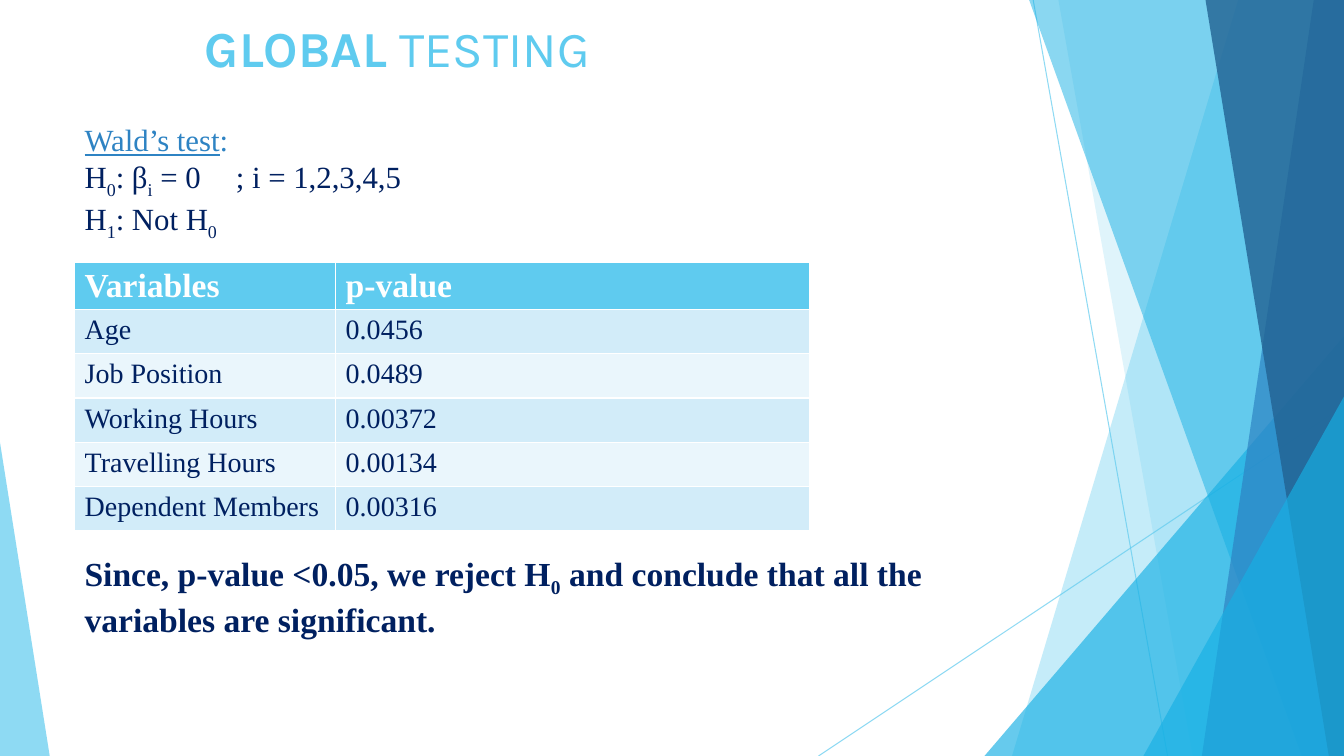
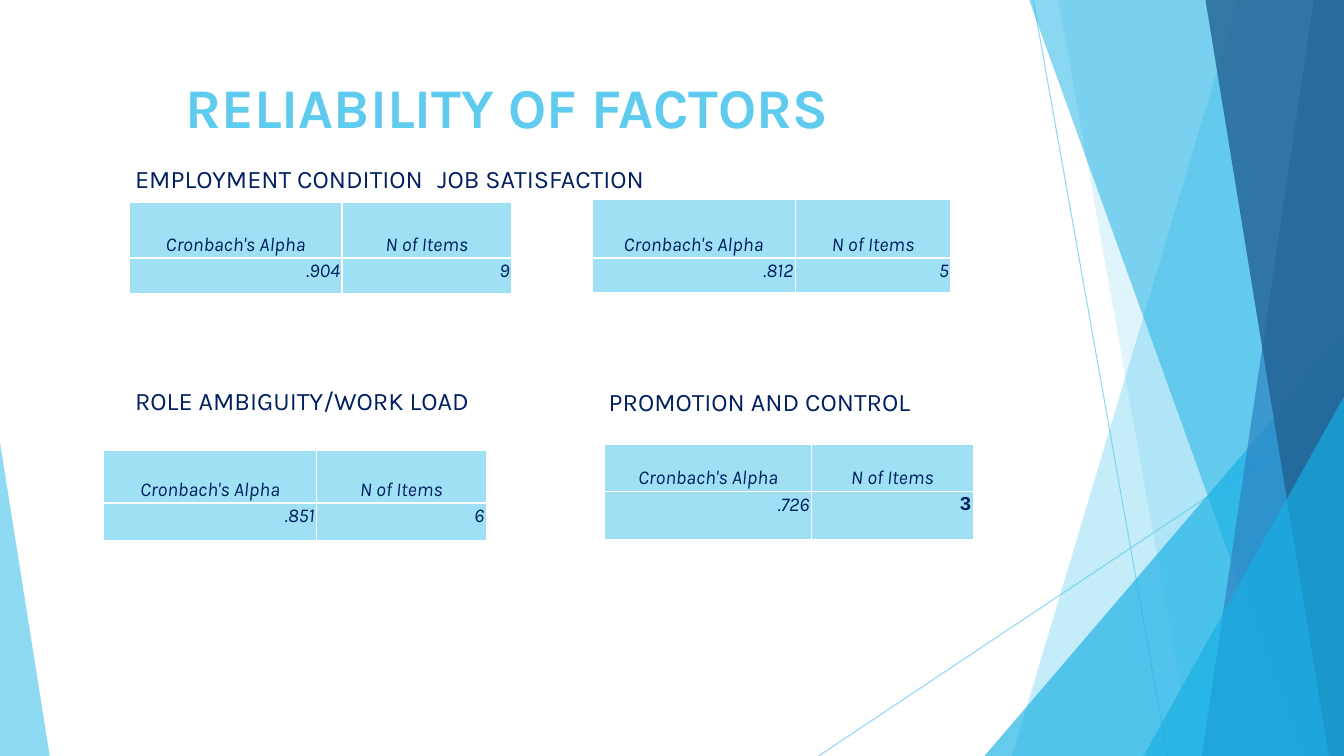
from dataclasses import dataclass

from lxml.etree import SubElement
from pptx import Presentation
from pptx.dml.color import RGBColor
from pptx.enum.shapes import MSO_CONNECTOR, MSO_SHAPE
from pptx.enum.text import MSO_ANCHOR, MSO_AUTO_SIZE, PP_ALIGN
from pptx.oxml.ns import qn
from pptx.util import Emu, Inches, Pt

COLS, ROWS = 40, 22.5  # square grid, three columns to the inch


@dataclass(frozen=True)
class Theme:
    sky: str = "5FCBEF"
    cyan: str = "17B0E4"
    blue: str = "2E83C3"
    deep: str = "226292"
    navy: str = "002060"
    white: str = "FFFFFF"
    stripe_dark: str = "D2ECF9"
    stripe_light: str = "EAF6FC"
    pale: str = "9FE0F5"
    sans: str = "Karla"
    serif: str = "Times New Roman"
    mono: str = "Courier New"
    title: int = 40
    title_small: int = 36
    large: int = 24
    hypothesis: int = 22
    table: int = 20
    heading: int = 18
    small: int = 14


T = Theme()


@dataclass(frozen=True)
class Box:
    """Left, top, width and height in grid columns and rows."""
    left: float
    top: float
    width: float
    height: float


@dataclass(frozen=True)
class Ray:
    x1: float
    y1: float
    x2: float
    y2: float


@dataclass(frozen=True)
class Band:
    """Full-height area between a slanted edge and the right of the slide."""
    top_x: float
    foot_x: float
    color: str
    opacity: int


@dataclass(frozen=True)
class Wedge:
    """Right-angled triangle standing on the bottom of the slide."""
    left: float
    top: float
    width: float
    tip: int
    color: str
    opacity: int


@dataclass(frozen=True)
class Factor:
    left: float
    top: float
    cols: tuple[float, float]
    rows: tuple[float, float]
    alpha: str
    items: str
    items_format: dict


BACKDROP = (
    Ray(30.75, 0, 34.75, ROWS),
    Ray(COLS, 12.08, 24.36, ROWS),
    Band(36.85, 30.12, T.sky, 36),
    Band(31.5, 35.5, T.sky, 20),
    Wedge(29.3, 10, 10.7, 1, T.cyan, 66),
    Band(30.63, 38.74, T.cyan, 50),
    Band(39.1, 35.77, T.blue, 70),
    Band(35.88, 39.55, T.deep, 80),
    Wedge(34.03, 11.8, 5.97, 1, T.cyan, 66),
    Wedge(0, 13.17, 1.48, 0, T.sky, 70),
)

P_VALUES = (
    ("Variables", "p-value"),
    ("Age", "0.0456"),
    ("Job Position", "0.0489"),
    ("Working Hours", "0.00372"),
    ("Travelling Hours", "0.00134"),
    ("Dependent Members", "0.00316"),
)

ITALIC = {"italic": True}
FACTORS = (
    Factor(3.85, 6.03, (6.33, 5.05), (1.65, 1.05), ".904", "9", ITALIC),
    Factor(18, 13.23, (6.15, 4.82), (1.4, 1.43), ".726", "3",
           {"font": T.mono, "bold": True}),
    Factor(17.62, 5.94, (6.05, 4.63), (1.74, 1.04), ".812", "5", ITALIC),
    Factor(3.09, 13.39, (6.33, 5.05), (1.58, 1.12), ".851", "6", ITALIC),
)


def grid(n: float) -> Emu:
    return Emu(round(n * Inches(1) / 3))


def place(sp, box: Box) -> None:
    sp.left, sp.top = grid(box.left), grid(box.top)
    sp.width, sp.height = grid(box.width), grid(box.height)


def set_opacity(sp, percent: int) -> None:
    color = sp._element.spPr.find(".//" + qn("a:srgbClr"))
    SubElement(color, qn("a:alpha")).set("val", str(percent * 1000))


def draw_ray(slide, ray: Ray):
    line = slide.shapes.add_connector(
        MSO_CONNECTOR.STRAIGHT,
        grid(ray.x1), grid(ray.y1), grid(ray.x2), grid(ray.y2))
    line.line.color.rgb = RGBColor.from_string(T.sky)
    line.line.width = Pt(0.75)
    SubElement(line._element.spPr, qn("a:effectLst"))
    set_opacity(line, 70)
    return line


def draw_area(slide, area: Band | Wedge):
    if isinstance(area, Band):
        builder = slide.shapes.build_freeform(grid(area.top_x), 0)
        corners = ((COLS, 0), (COLS, ROWS), (area.foot_x, ROWS))
        builder.add_line_segments([(grid(x), grid(y)) for x, y in corners])
        sp = builder.convert_to_shape()
    else:
        sp = slide.shapes.add_shape(
            MSO_SHAPE.ISOSCELES_TRIANGLE, grid(area.left), grid(area.top),
            grid(area.width), grid(ROWS - area.top))
        sp.adjustments[0] = area.tip
    sp.shadow.inherit = False
    sp.line.fill.background()
    sp.fill.solid()
    sp.fill.fore_color.rgb = RGBColor.from_string(area.color)
    set_opacity(sp, area.opacity)
    return sp


def add_backdrop(layout, slide) -> None:
    """Draw the backdrop on a slide, then move it into the shared layout."""
    for number, part in enumerate(BACKDROP, start=100):
        draw = draw_ray if isinstance(part, Ray) else draw_area
        element = draw(slide, part)._element
        element.xpath(".//p:cNvPr")[0].set("id", str(number))
        layout.shapes.element.append(element)


def add_text(p, text: str, *, size: int, color: str = T.navy,
             font: str = T.sans, bold: bool = False, italic: bool = False,
             underline: bool = False) -> None:
    """Add runs to a paragraph; a character after "_" is a subscript."""
    first, *rest = text.split("_")
    pieces = [(first, False)]
    for piece in rest:
        pieces += [(piece[0], True), (piece[1:], False)]
    for piece, subscript in pieces:
        if not piece:
            continue
        r = p.add_run()
        r.text = piece
        r.font.size, r.font.name = Pt(size), font
        r.font.bold, r.font.italic, r.font.underline = bold, italic, underline
        r.font.color.rgb = RGBColor.from_string(color)
        if subscript:
            r._r.get_or_add_rPr().set("baseline", "-25000")


def set_frame(sp, box: Box, inset: float = 0.3):
    place(sp, box)
    tf = sp.text_frame
    tf.word_wrap = True
    tf.auto_size = MSO_AUTO_SIZE.NONE
    tf.vertical_anchor = MSO_ANCHOR.TOP
    tf.margin_left = grid(inset)
    return tf


def plain_paragraph(tf, *, first: bool = False, before: float = 0,
                    tab: float | None = None):
    """Return a left-aligned paragraph without bullet or indent."""
    p = tf.paragraphs[0] if first else tf.add_paragraph()
    pPr = p._p.get_or_add_pPr()
    pPr.set("marL", "0")
    pPr.set("indent", "0")
    SubElement(pPr, qn("a:buNone"))
    if tab is not None:
        stop = SubElement(SubElement(pPr, qn("a:tabLst")), qn("a:tab"))
        stop.set("pos", str(grid(tab)))
        stop.set("algn", "l")
    p.alignment = PP_ALIGN.LEFT
    p.space_before = Pt(before)
    return p


def add_title(slide, box: Box, size: int, bold: str, light: str = "") -> None:
    tf = set_frame(slide.shapes.title, box, inset=3.3)
    p = plain_paragraph(tf, first=True)
    add_text(p, bold, size=size, color=T.sky, bold=True)
    add_text(p, light, size=size, color=T.sky)


def add_text_box(slide, box: Box, text: str, **style) -> None:
    tf = set_frame(slide.shapes.add_textbox(0, 0, 0, 0), box)
    add_text(plain_paragraph(tf, first=True), text, **style)


def add_grid_table(slide, left: float, top: float, cols, rows):
    frame = slide.shapes.add_table(
        len(rows), len(cols), grid(left), grid(top),
        grid(sum(cols)), grid(sum(rows)))
    table = frame.table
    for column, width in zip(table.columns, cols):
        column.width = grid(width)
    for row, height in zip(table.rows, rows):
        row.height = grid(height)
    return table


def fill_cell(cell, text: str, fill: str, **style):
    cell.fill.solid()
    cell.fill.fore_color.rgb = RGBColor.from_string(fill)
    p = cell.text_frame.paragraphs[0]
    add_text(p, text, **style)
    return p


def add_p_value_table(slide) -> None:
    table = add_grid_table(slide, 2.22, 7.8, (7.77, 14.1),
                           [1.32] * len(P_VALUES))
    for i, values in enumerate(P_VALUES):
        if i == 0:
            fill, style = T.sky, dict(size=T.large, color=T.white, bold=True)
        else:
            fill = T.stripe_dark if i % 2 else T.stripe_light
            style = dict(size=T.table)
        for j, value in enumerate(values):
            fill_cell(table.cell(i, j), value, fill, font=T.serif, **style)


def add_factor_table(slide, factor: Factor) -> None:
    table = add_grid_table(slide, factor.left, factor.top,
                           factor.cols, factor.rows)
    table.first_row = table.horz_banding = False
    cells = (("Cronbach's Alpha", ITALIC), ("N of Items", ITALIC),
             (factor.alpha, ITALIC), (factor.items, factor.items_format))
    for n, (text, style) in enumerate(cells):
        i, j = divmod(n, 2)
        cell = table.cell(i, j)
        cell.margin_left = cell.margin_right = Inches(0.02)
        cell.margin_top = cell.margin_bottom = Inches(0.02)
        cell.vertical_anchor = MSO_ANCHOR.TOP if i else MSO_ANCHOR.BOTTOM
        p = fill_cell(cell, text, T.pale, size=T.small, **style)
        p.alignment = PP_ALIGN.RIGHT if i else PP_ALIGN.CENTER
        p.line_spacing = Pt(16)


def build_global_testing(slide) -> None:
    add_title(slide, Box(2.8, 0.37, 28.2, 2.8), T.title_small,
              "GLOBAL", " TESTING")
    tf = set_frame(slide.placeholders[1], Box(2.22, 3.45, 24.78, 4.3))
    style = dict(size=T.hypothesis, font=T.serif)
    p = plain_paragraph(tf, first=True)
    add_text(p, "Wald’s test", color=T.blue, underline=True, **style)
    add_text(p, ":", color=T.blue, **style)
    add_text(plain_paragraph(tf, tab=4.5),
             "H_0: β_i = 0\t; i = 1,2,3,4,5", **style)
    add_text(plain_paragraph(tf), "H_1: Not H_0", **style)
    add_p_value_table(slide)
    add_text_box(slide, Box(2.22, 16.3, 27.93, 2.73),
                 "Since, p-value <0.05, we reject H_0 and conclude that all "
                 "the variables are significant.",
                 size=T.large, font=T.serif, bold=True)


def build_reliability(slide) -> None:
    add_title(slide, Box(2.22, 2, 28.2, 2.3), T.title,
              "RELIABILITY OF FACTORS")
    tf = set_frame(slide.placeholders[1], Box(2.22, 4.7, 28.2, 17.8), 1.8)
    add_text(plain_paragraph(tf, first=True, tab=12.83),
             "EMPLOYMENT CONDITION\tJOB SATISFACTION", size=T.heading)
    add_text(plain_paragraph(tf, before=137),
             "ROLE AMBIGUITY/WORK LOAD", size=T.heading)
    add_text_box(slide, Box(17.82, 11.35, 10.8, 1.2),
                 "PROMOTION AND CONTROL", size=T.heading)
    for factor in FACTORS:
        add_factor_table(slide, factor)


def main() -> None:
    prs = Presentation()
    prs.slide_width, prs.slide_height = grid(COLS), grid(ROWS)
    layout = prs.slide_layouts[1]
    testing, reliability = (prs.slides.add_slide(layout) for _ in range(2))
    add_backdrop(layout, testing)
    build_global_testing(testing)
    build_reliability(reliability)
    prs.save("out.pptx")


if __name__ == "__main__":
    main()
